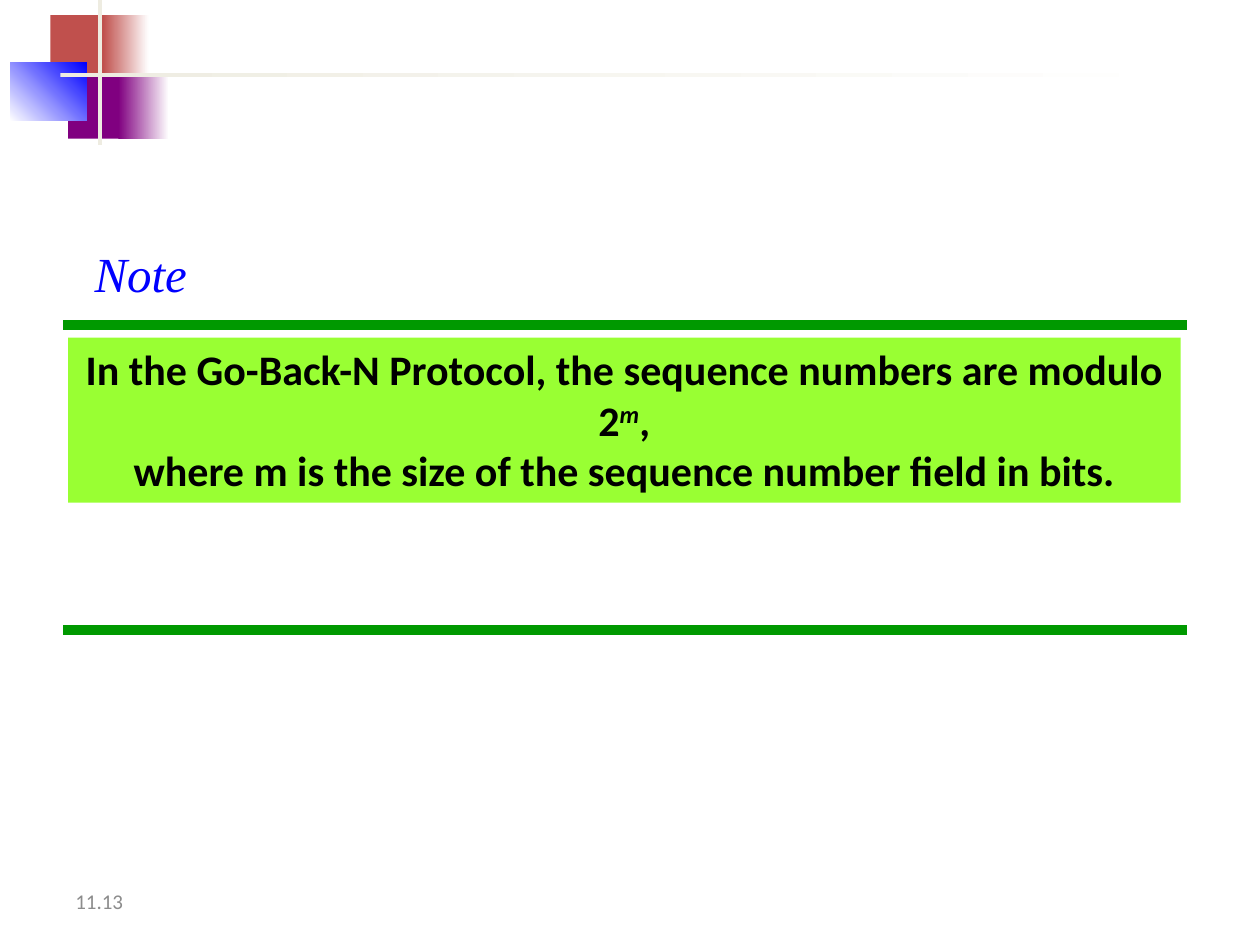
from lxml import etree
from pptx import Presentation
from pptx.dml.color import RGBColor
from pptx.enum.shapes import MSO_CONNECTOR, MSO_SHAPE
from pptx.enum.text import MSO_ANCHOR, MSO_AUTO_SIZE, PP_ALIGN
from pptx.oxml.ns import qn
from pptx.util import Inches, Pt

RECTANGLE = MSO_SHAPE.RECTANGLE
STRAIGHT = MSO_CONNECTOR.STRAIGHT
LEFT, CENTER = PP_ALIGN.LEFT, PP_ALIGN.CENTER
MIDDLE, TOP = MSO_ANCHOR.MIDDLE, MSO_ANCHOR.TOP
NO_AUTOFIT = MSO_AUTO_SIZE.NONE
COLUMNS, ROWS = 100, 75

RED, PURPLE, BLUE = "C0504D", "800080", "0000FF"
CREAM, WHITE, BLACK, GRAY = "EEECE1", "FFFFFF", "000000", "8C8C8C"
GREEN, LIME = "009900", "99FF33"


def color(value):
    return RGBColor.from_string(value)


class SlideBuilder:
    body_format = {"name": "Calibri", "size": Pt(24), "bold": True, "italic": False}
    title_format = {"name": "Times New Roman", "size": Pt(28), "bold": False, "italic": True}
    number_format = {"name": "Calibri", "size": Pt(12), "bold": False, "italic": False}

    def __init__(self, presentation):
        self.column = presentation.slide_width / COLUMNS
        self.row = presentation.slide_height / ROWS
        self.slide = presentation.slides.add_slide(presentation.slide_layouts[5])

    def place(self, left, top, width, height):
        return (round(left * self.column), round(top * self.row),
                round(width * self.column), round(height * self.row))

    def style(self, font, format_values, text_color):
        for name, value in format_values.items():
            setattr(font, name, value)
        font.color.rgb = color(text_color)

    def rectangle(self, box, start, end=None, angle=0):
        shape = self.slide.shapes.add_shape(RECTANGLE, *self.place(*box))
        shape.shadow.inherit = False
        shape.line.fill.background()
        if end is None:
            shape.fill.solid()
            shape.fill.fore_color.rgb = color(start)
        else:
            shape.fill.gradient()
            shape.fill.gradient_angle = angle
            for stop, value in zip(shape.fill.gradient_stops, (start, end)):
                stop.color.rgb = color(value)
        return shape

    def rule(self, left, right, row):
        x1, y, x2, _ = self.place(left, row, right, 0)
        line = self.slide.shapes.add_connector(STRAIGHT, x1, y, x2, y)
        line.line.width = Pt(6)
        line.line.color.rgb = color(GREEN)
        etree.SubElement(line._element.spPr, qn("a:effectLst"))

    def title(self, box, text):
        shape = self.slide.shapes.title
        shape.left, shape.top, shape.width, shape.height = self.place(*box)
        frame = shape.text_frame
        frame.text = text
        frame.word_wrap = False
        frame.auto_size = NO_AUTOFIT
        frame.vertical_anchor = TOP
        frame.paragraphs[0].alignment = LEFT
        self.style(frame.paragraphs[0].runs[0].font, self.title_format, BLUE)

    def statement(self, box, lines):
        frame = self.rectangle(box, LIME).text_frame
        frame.word_wrap = True
        frame.vertical_anchor = TOP
        for index, pieces in enumerate(lines):
            paragraph = frame.add_paragraph() if index else frame.paragraphs[0]
            paragraph.alignment = CENTER
            for text, raised in pieces:
                run = paragraph.add_run()
                run.text = text
                self.style(run.font, self.body_format, BLACK)
                if raised:
                    run.font.italic = True
                    run.font._element.set("baseline", "30000")

    def page_number(self, box, text):
        frame = self.slide.shapes.add_textbox(*self.place(*box)).text_frame
        frame.text = text
        frame.word_wrap = True
        frame.vertical_anchor = MIDDLE
        self.style(frame.paragraphs[0].runs[0].font, self.number_format, GRAY)


def main():
    presentation = Presentation()
    presentation.slide_width, presentation.slide_height = Inches(10), Inches(7.5)
    builder = SlideBuilder(presentation)

    builder.page_number((5, 69.5, 23.3, 4), "11.13")
    for box, *fill in (
        ((4, 1.2, 4.8, 5.2), RED),
        ((8.2, 1.2, 3.6, 5.2), RED, WHITE),
        ((5.4, 5.8, 4.6, 5.2), PURPLE),
        ((9.4, 5.8, 4, 5.2), PURPLE, WHITE),
        ((0.8, 5, 6.1, 4.6), WHITE, BLUE, 45),
        ((7.8, 0, 0.3, 11.5), CREAM),
        ((4.8, 5.8, 90, 0.3), CREAM, WHITE),
    ):
        builder.rectangle(box, *fill)

    for row in (25.8, 50):
        builder.rule(5, 94.2, row)
    builder.statement((5.4, 26.8, 88.3, 13.1), (
        (("In the Go-Back-N Protocol, the sequence numbers are modulo 2", False),
         ("m", True), (",", False)),
        (("where m is the size of the sequence number field in bits.", False),),
    ))
    builder.title((6.5, 18.8, 9.6, 5.7), "Note")
    presentation.save("out.pptx")


if __name__ == "__main__":
    main()
